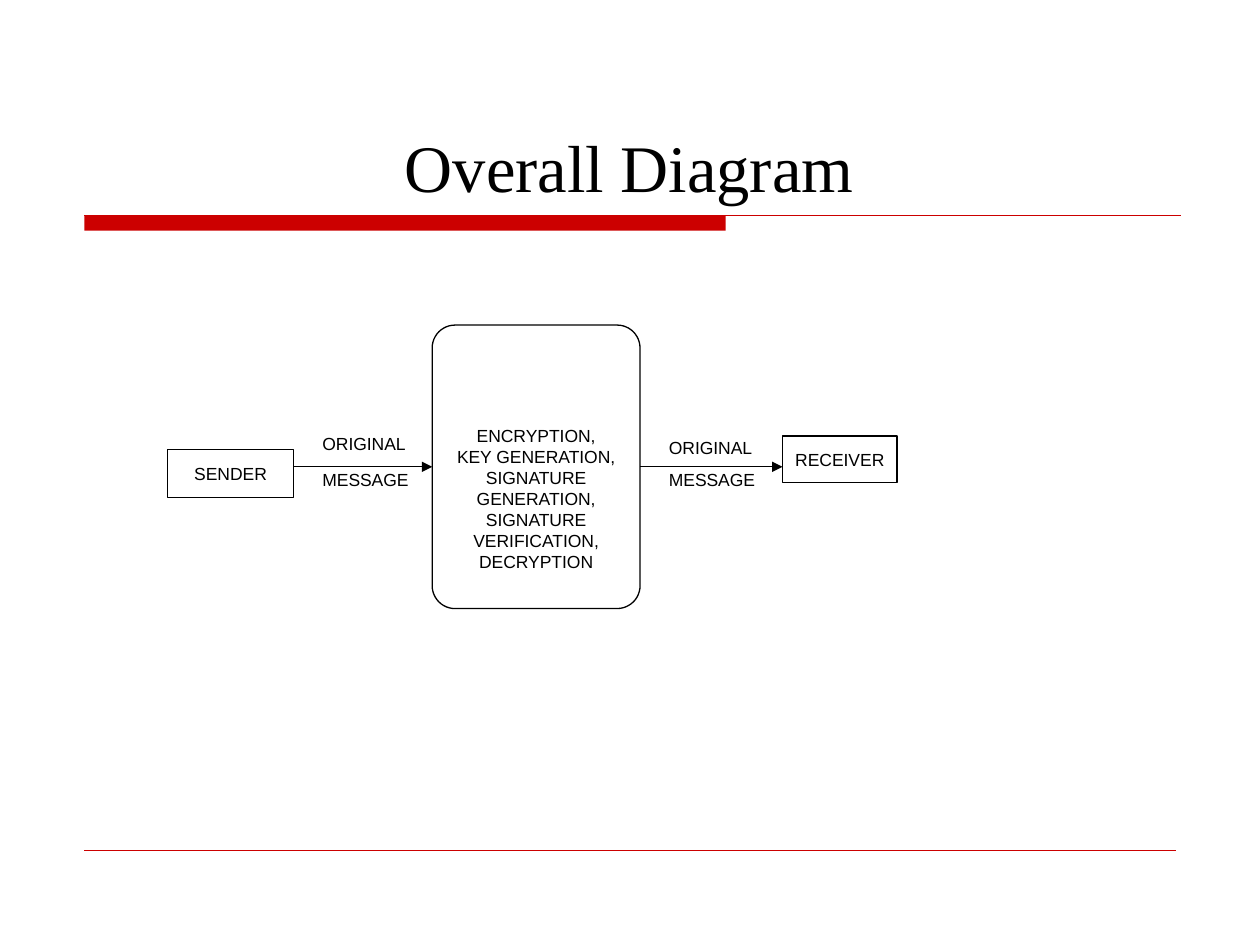
"""Build the Overall Diagram slide: sender, signature process and receiver."""
from lxml.etree import SubElement
from pptx import Presentation
from pptx.dml.color import RGBColor
from pptx.enum.shapes import MSO_CONNECTOR as Line, MSO_SHAPE as Shape
from pptx.enum.text import MSO_ANCHOR as Anchor, PP_ALIGN as Align
from pptx.oxml.ns import qn
from pptx.util import Inches, Pt

COLORS = {"red": "CC0000", "ink": "000000", "paper": "FFFFFF"}
TITLE = ["Overall Diagram"]
PROCESS = [
    ["ENCRYPTION,", "KEY GENERATION,"],
    ["SIGNATURE", "GENERATION,", "SIGNATURE", "VERIFICATION,", "DECRYPTION"],
]
ACTORS = [("SENDER", (1.33, 3.57, 1, 0.38)), ("RECEIVER", (6.21, 3.46, 0.91, 0.37))]
LABELS = [
    ("ORIGINAL", 2.46, 3.42), ("MESSAGE", 2.46, 3.7),
    ("ORIGINAL", 5.21, 3.45), ("MESSAGE", 5.21, 3.7),
]
PROCESS_BOX = (3.43, 2.58, 1.65, 2.25)
RED_RULES = [(0.67, 9.37, 1.71, 0.75), (0.67, 9.33, 6.75, 0.25)]


def color(name):
    return RGBColor.from_string(COLORS[name])


def write(owner, paragraphs, size=10, font="Arial", align=Align.CENTER,
          anchor=Anchor.MIDDLE, left=0, top=0, spacing=None):
    frame = owner.text_frame
    frame.word_wrap = True
    frame.vertical_anchor = anchor
    frame.margin_left, frame.margin_top = Inches(left), Inches(top)
    frame.margin_right = frame.margin_bottom = 0
    for index, lines in enumerate(paragraphs):
        paragraph = frame.add_paragraph() if index else frame.paragraphs[0]
        paragraph.alignment = align
        if spacing:
            paragraph.line_spacing = Pt(spacing)
        for number, line in enumerate(lines):
            if number:
                paragraph.add_line_break()
            run = paragraph.add_run()
            run.text = line
            run.font.size, run.font.name = Pt(size), font
            run.font.color.rgb = color("ink")


def add_box(slide, kind, place, fill="paper", outline="ink"):
    box = slide.shapes.add_shape(kind, *map(Inches, place))
    box.shadow.inherit = False
    box.fill.solid()
    box.fill.fore_color.rgb = color(fill)
    if outline:
        box.line.color.rgb = color(outline)
        box.line.width = Pt(0.75)
    else:
        box.line.fill.background()
    return box


def add_line(slide, start, end, y, width, ink, arrow=False):
    line = slide.shapes.add_connector(
        Line.STRAIGHT, Inches(start), Inches(y), Inches(end), Inches(y))
    line.line.color.rgb = color(ink)
    line.line.width = Pt(width)
    if arrow:
        SubElement(line.line._get_or_add_ln(), qn("a:tailEnd"), type="triangle")
    SubElement(line._element.spPr, qn("a:effectLst"))
    return line


def add_text(slide, place, paragraphs, **style):
    write(slide.shapes.add_textbox(*map(Inches, place)), paragraphs, **style)


def main():
    deck = Presentation()
    deck.slide_width, deck.slide_height = Inches(10), Inches(7.5)
    slide = deck.slides.add_slide(deck.slide_layouts[6])

    add_box(slide, Shape.RECTANGLE, (0.67, 1.71, 5.09, 0.12), "red", None)
    for start, end, y, width in RED_RULES:
        add_line(slide, start, end, y, width, "red")
    add_text(slide, (3.11, 0.97, 3.77, 0.66), [TITLE], size=38,
             font="Times New Roman", anchor=Anchor.TOP, top=0.03)

    process = add_box(slide, Shape.ROUNDED_RECTANGLE, PROCESS_BOX)
    process.adjustments[0] = 0.11
    write(process, PROCESS, top=0.5, spacing=12)
    for name, place in ACTORS:
        write(add_box(slide, Shape.RECTANGLE, place), [[name]])
    for label, x, y in LABELS:
        add_text(slide, (x, y, 0.88, 0.19), [[label]], align=Align.LEFT,
                 anchor=Anchor.TOP, left=0.1, top=0.02)

    left, top, width, height = PROCESS_BOX
    middle = top + height / 2
    (_, sender), (_, receiver) = ACTORS
    incoming = add_line(slide, sender[0] + sender[2], left, middle, 0.7, "ink", True)
    incoming.end_connect(process, 1)
    outgoing = add_line(slide, left + width, receiver[0], middle, 0.7, "ink", True)
    outgoing.begin_connect(process, 3)

    deck.save("out.pptx")


if __name__ == "__main__":
    main()
